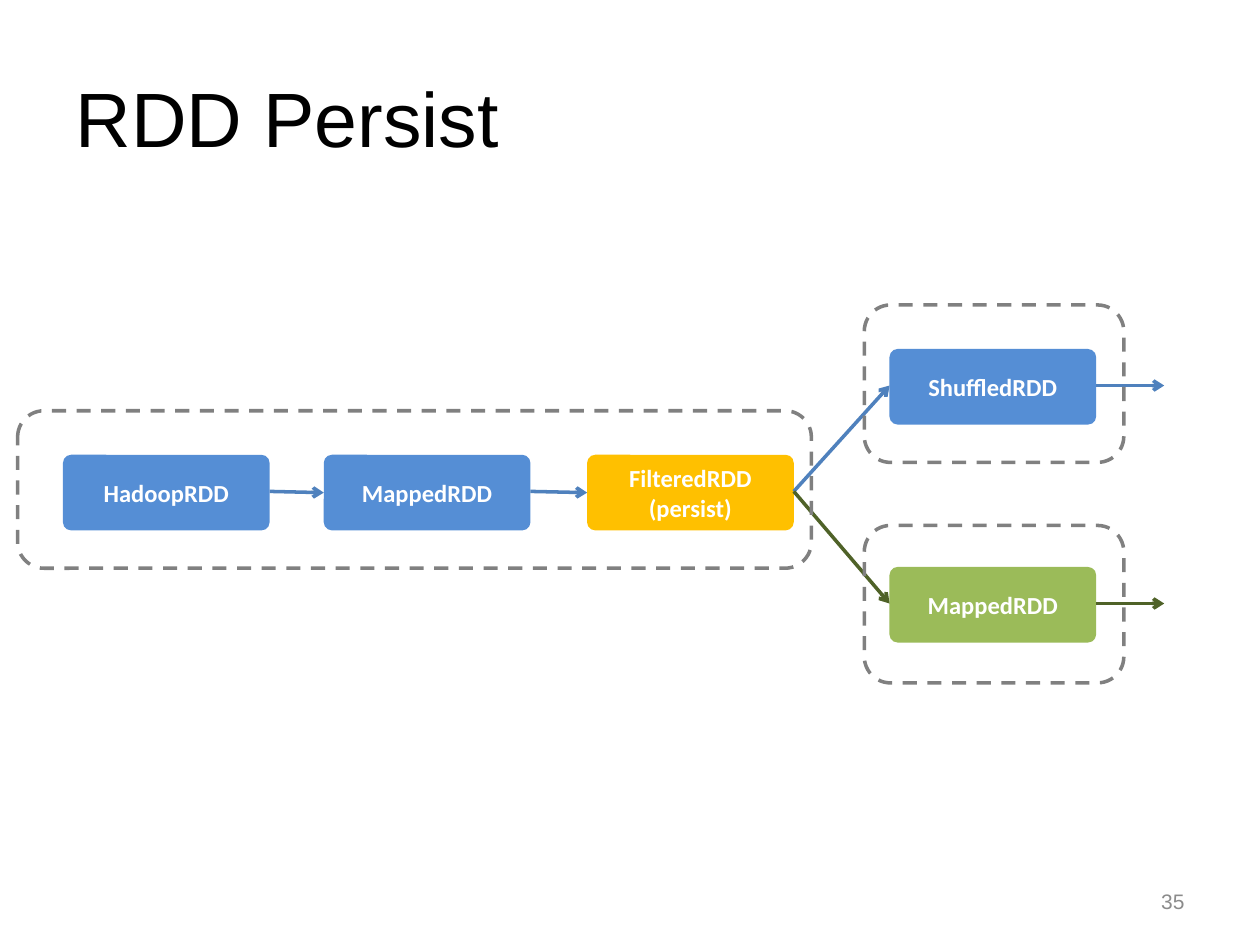
from lxml import etree
from pptx import Presentation
from pptx.dml.color import RGBColor
from pptx.enum.dml import MSO_LINE
from pptx.enum.shapes import MSO_CONNECTOR, MSO_SHAPE
from pptx.enum.text import MSO_ANCHOR, PP_ALIGN
from pptx.oxml.ns import qn
from pptx.util import Inches, Pt

ROUND = MSO_SHAPE.ROUNDED_RECTANGLE
LEFT, CENTER, RIGHT = PP_ALIGN.LEFT, PP_ALIGN.CENTER, PP_ALIGN.RIGHT
MIDDLE = MSO_ANCHOR.MIDDLE
COLORS = {
    "black": "000000", "white": "FFFFFF", "gray": "808080", "number": "8B8B8B",
    "blue": "558ED5", "gold": "FFC000", "green": "9BBB59",
    "blue line": "4F81BD", "green line": "4F6228",
}


def write(shape, text, align, color, **font):
    frame = shape.text_frame
    frame.word_wrap = True
    frame.vertical_anchor = MIDDLE
    frame.text = text
    for para in frame.paragraphs:
        para.alignment = align
        para.font.color.rgb = RGBColor.from_string(COLORS[color])
        for name, value in font.items():
            setattr(para.font, name, value)


def add_round(x, y, w, h, adj):
    """Add a rounded box without shadow."""
    shape = shapes.add_shape(ROUND, Inches(x), Inches(y), Inches(w), Inches(h))
    shape.shadow.inherit = False
    shape.adjustments[0] = adj
    return shape


prs = Presentation()
prs.slide_width, prs.slide_height = Inches(10), Inches(7.5)
slide = prs.slides.add_slide(prs.slide_layouts[5])
shapes = slide.shapes

title = shapes.title
place = {"left": 0.5, "top": 0.3, "width": 9, "height": 1.25}
for name, value in place.items():
    setattr(title, name, Inches(value))
write(title, "RDD Persist", LEFT, "black", size=Pt(44), name="Arial")

number = shapes.add_textbox(Inches(7.17), Inches(6.95), Inches(2.33), Inches(0.4))
write(number, "35", RIGHT, "number", size=Pt(12), name="Arial")

# RDD boxes
BOX_W, BOX_H = 1.64, 0.6
boxes = [
    ("HadoopRDD", 0.5, 3.61, "blue"),
    ("MappedRDD", 2.57, 3.61, "blue"),
    ("FilteredRDD\n(persist)", 4.66, 3.61, "gold"),
    ("ShuffledRDD", 7.06, 2.77, "blue"),
    ("MappedRDD", 7.06, 4.5, "green"),
]
for text, x, y, color in boxes:
    box = add_round(x, y, BOX_W, BOX_H, 0.108)
    box.fill.solid()
    box.fill.fore_color.rgb = RGBColor.from_string(COLORS[color])
    box.line.fill.background()
    write(box, text, CENTER, "white", size=Pt(14), name="Calibri", bold=True)

# Arrows between the boxes and out of the last stages
arrows = [
    (2.14, 3.9, 2.57, 3.91, "blue line"),
    (4.21, 3.9, 4.66, 3.91, "blue line"),
    (6.3, 3.9, 7.06, 3.06, "blue line"),
    (6.3, 3.9, 7.06, 4.79, "green line"),
    (8.7, 3.06, 9.24, 3.06, "blue line"),
    (8.7, 4.79, 9.24, 4.79, "green line"),
]
for *ends, color in arrows:
    arrow = shapes.add_connector(MSO_CONNECTOR.STRAIGHT, *map(Inches, ends))
    arrow.line.width = Pt(2)
    arrow.line.color.rgb = RGBColor.from_string(COLORS[color])
    etree.SubElement(arrow.line._get_or_add_ln(), qn("a:tailEnd"), type="arrow")
    etree.SubElement(arrow._element.spPr, qn("a:effectLst"))

# Dashed stage frames
for x, y, w in [(0.14, 3.26, 6.3), (6.86, 2.42, 2.06), (6.86, 4.17, 2.06)]:
    stage = add_round(x, y, w, 1.25, 0.167)
    stage.fill.background()
    stage.line.width = Pt(2)
    stage.line.color.rgb = RGBColor.from_string(COLORS["gray"])
    stage.line.dash_style = MSO_LINE.DASH

prs.save("out.pptx")
